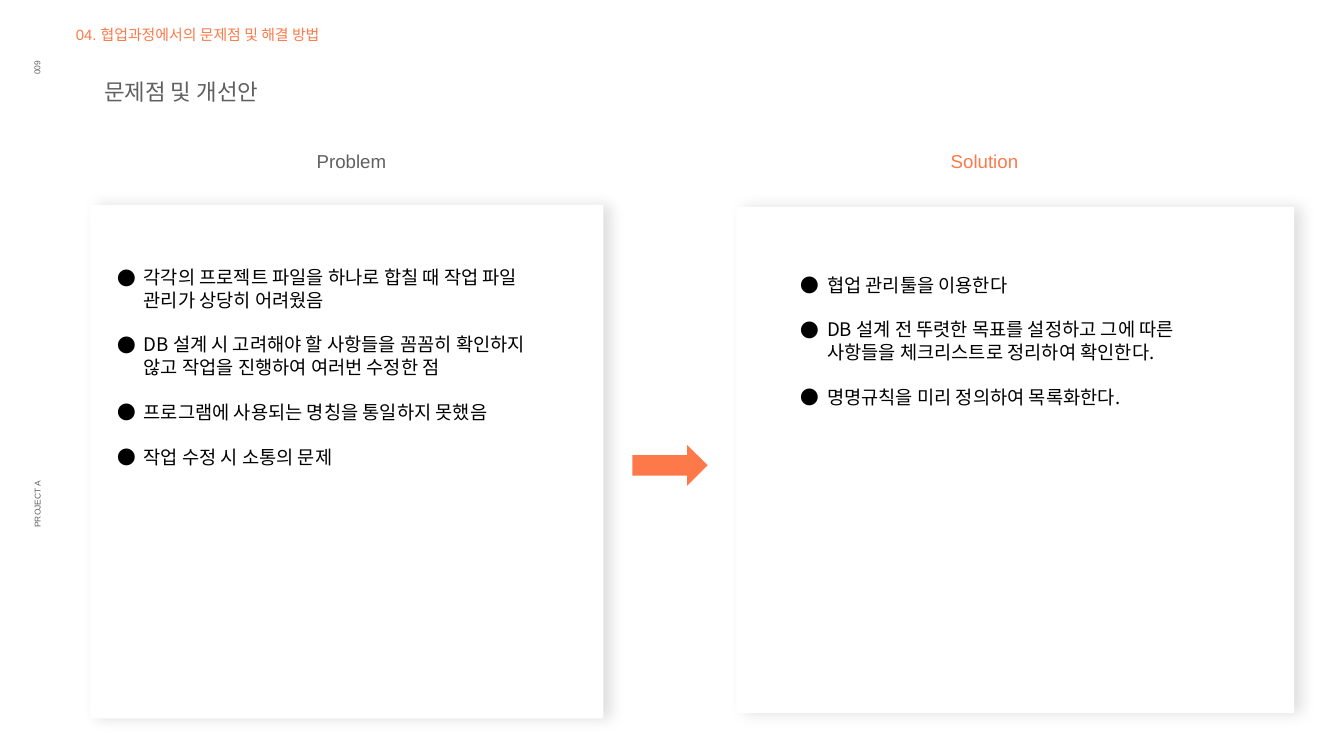
from lxml import etree
from pptx import Presentation
from pptx import util as u
from pptx.dml.color import RGBColor
from pptx.enum import shapes, text
from pptx.oxml import ns

COLORS = {"accent": "FE7949", "gray": "606060", "white": "FFFFFF", "black": "000000"}
LATIN, KOREAN = "Arial", "Noto Sans CJK KR"
LEFT, CENTER, RIGHT = text.PP_ALIGN.LEFT, text.PP_ALIGN.CENTER, text.PP_ALIGN.RIGHT
TOP, MIDDLE = text.MSO_ANCHOR.TOP, text.MSO_ANCHOR.MIDDLE

PROBLEMS = [
    "각각의 프로젝트 파일을 하나로 합칠 때 작업 파일 관리가 상당히 어려웠음",
    "DB 설계 시 고려해야 할 사항들을 꼼꼼히 확인하지 않고 작업을 진행하여 여러번 수정한 점",
    "프로그램에 사용되는 명칭을 통일하지 못했음",
    "작업 수정 시 소통의 문제",
]
SOLUTIONS = [
    "협업 관리툴을 이용한다",
    "DB 설계 전 뚜렷한 목표를 설정하고 그에 따른 사항들을 체크리스트로 정리하여 확인한다.",
    "명명규칙을 미리 정의하여 목록화한다.",
]


def child(parent, tag, **attributes):
    return etree.SubElement(parent, ns.qn(tag), attributes)


class Slide:
    """Draws styled elements on one page."""

    def __init__(self, page):
        self.page = page

    def color(self, name):
        return RGBColor.from_string(COLORS[name])

    def span(self, para, words, size, color, font):
        span = para.add_run()
        span.text = words
        span.font.size = u.Pt(size)
        span.font.name = font
        span.font.color.rgb = self.color(color)
        child(span.font._element, "a:ea", typeface=KOREAN)

    def box(self, area, inset=0.05, anchor=TOP, rotation=0):
        box = self.page.shapes.add_textbox(*map(u.Inches, area))
        box.rotation = rotation
        frame = box.text_frame
        frame.word_wrap = True
        frame.vertical_anchor = anchor
        frame.margin_left = frame.margin_right = u.Inches(0.1)
        frame.margin_top = frame.margin_bottom = u.Inches(inset)
        return frame

    def label(self, words, area, size, color, align=LEFT, anchor=TOP, rotation=0):
        para = self.box(area, anchor=anchor, rotation=rotation).paragraphs[0]
        para.alignment = align
        self.span(para, words, size, color, LATIN)

    def bullets(self, items, area):
        frame = self.box(area, inset=0.1)
        for index, item in enumerate(items):
            para = frame.add_paragraph() if index else frame.paragraphs[0]
            properties = para._p.get_or_add_pPr()
            properties.set("marL", str(u.Inches(0.5)))
            properties.set("indent", str(u.Inches(-0.39)))
            child(child(properties, "a:buClr"), "a:srgbClr", val=COLORS["black"])
            child(properties, "a:buFont", typeface=KOREAN)
            child(properties, "a:buChar", char="●")
            para.line_spacing = u.Pt(24)
            if index:
                para.space_before = u.Pt(24)
            self.span(para, item, 20, "black", KOREAN)

    def shape(self, kind, area, color):
        shape = self.page.shapes.add_shape(kind, *map(u.Inches, area))
        shape.shadow.inherit = False
        shape.fill.solid()
        shape.fill.fore_color.rgb = self.color(color)
        shape.line.fill.background()
        return shape

    def card(self, area):
        card = self.shape(shapes.MSO_SHAPE.RECTANGLE, area, "white")
        effects = card._element.spPr.find(ns.qn("a:effectLst"))
        shadow = child(effects, "a:outerShdw", blurRad=str(u.Pt(15.8)),
                       dist=str(u.Pt(8.2)), dir="0", algn="ctr", rotWithShape="0")
        tint = child(shadow, "a:srgbClr", val=COLORS["black"])
        child(tint, "a:alpha", val="12000")

    def arrow(self, area):
        self.shape(shapes.MSO_SHAPE.RIGHT_ARROW, area, "accent")


def main():
    deck = Presentation()
    deck.slide_width, deck.slide_height = u.Inches(20), u.Inches(11.25)
    slide = Slide(deck.slides.add_slide(deck.slide_layouts[6]))

    slide.label("04. 협업과정에서의 문제점 및 해결 방법", (1.03, 0.33, 4.53, 0.62), 16, "accent")
    slide.label("009", (0.09, 1.14, 0.92, 0.25), 9, "gray", RIGHT, MIDDLE, 270)
    slide.label("PROJECT A", (-0.92, 6.35, 2.95, 0.25), 9, "gray", LEFT, MIDDLE, 270)
    slide.label("문제점 및 개선안", (1.45, 1.12, 6.08, 0.5), 24, "gray")

    slide.label("Problem", (3.48, 2.18, 3.5, 0.44), 20, "gray", CENTER)
    slide.card((1.34, 3.05, 7.64, 7.64))
    slide.bullets(PROBLEMS, (1.54, 3.86, 6.81, 3.57))

    slide.arrow((9.41, 6.62, 1.12, 0.61))

    slide.label("Solution", (12.9, 2.18, 3.5, 0.44), 20, "accent", CENTER)
    slide.card((10.96, 3.08, 8.3, 7.53))
    slide.bullets(SOLUTIONS, (11.71, 3.97, 6.81, 2.56))

    deck.save("out.pptx")


if __name__ == "__main__":
    main()
